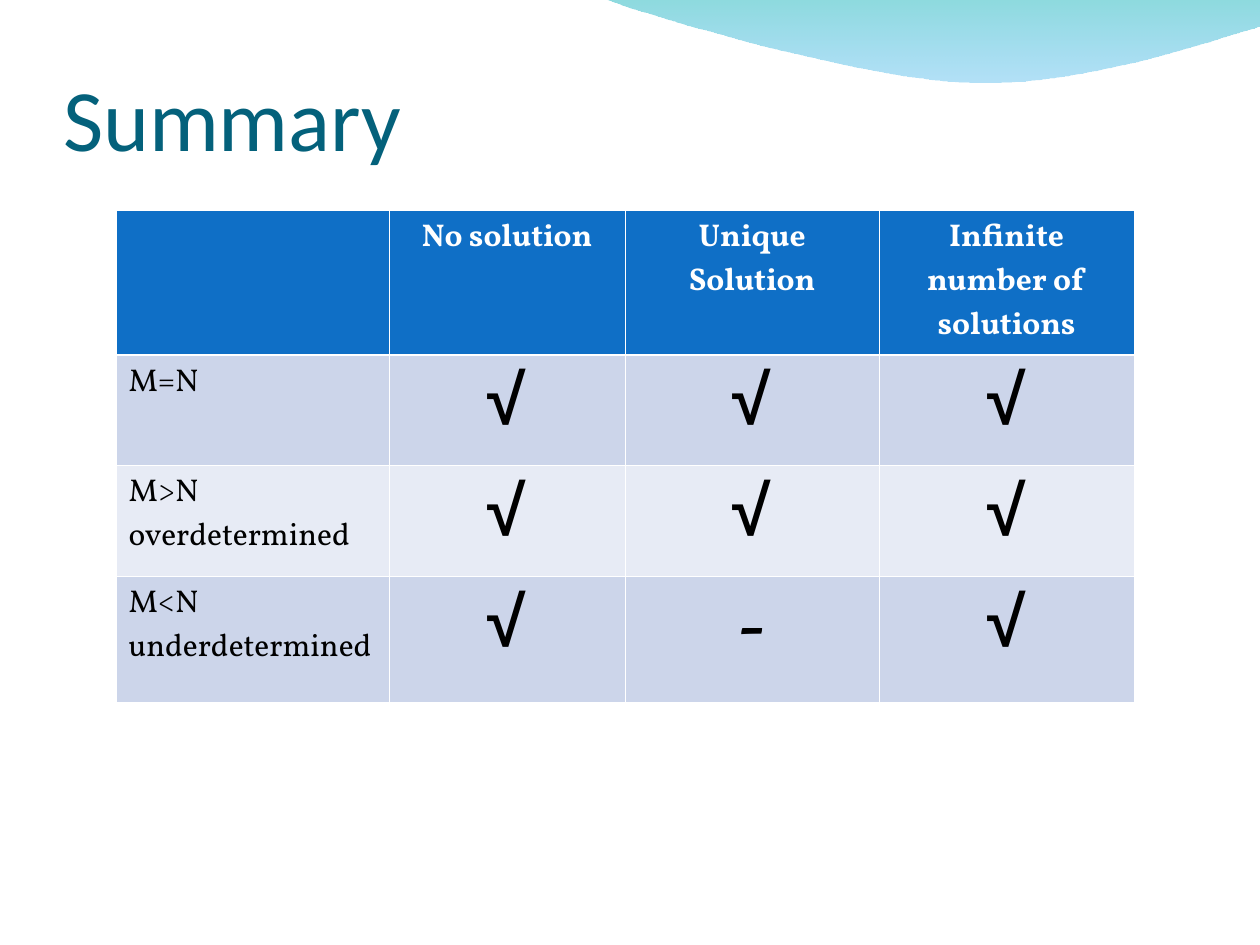
from dataclasses import dataclass

from lxml import etree
from pptx import Presentation
from pptx.dml.color import RGBColor
from pptx.enum import text
from pptx.oxml import ns
from pptx.util import Inches, Pt

WHITE = RGBColor(0xFF, 0xFF, 0xFF)
BLACK = RGBColor(0x00, 0x00, 0x00)
TITLE_TEAL = RGBColor(0x04, 0x61, 0x7B)
HEADER_BLUE = RGBColor(0x0F, 0x6F, 0xC6)
BAND_DARK = RGBColor(0xCC, 0xD5, 0xEA)
BAND_LIGHT = RGBColor(0xE7, 0xEB, 0xF5)
WAVE_TEAL = RGBColor(0x00, 0xAD, 0xB6)
WAVE_BLUE = RGBColor(0x00, 0x9B, 0xE5)

Point = tuple[float, float]
WAVE_START: Point = (4.79, -0.01)
WAVE_CURVES: list[tuple[Point, Point, Point]] = [
    ((5.09, 0.11), (6.82, 0.62), (7.69, 0.65)),
    ((8.56, 0.69), (9.61, 0.32), (10, 0.21)),
]
CURVE_STEPS = 24

COLUMN_WIDTHS = [2.17, 1.87, 2.02, 2.02]
ROW_HEIGHTS = [1, 0.88, 0.88, 1]
THIN, THICK = Pt(0.45), Pt(1.47)


@dataclass(frozen=True)
class CellStyle:
    font: str
    size: int
    bold: bool
    color: RGBColor
    alignment: text.PP_ALIGN


HEADER = CellStyle("Vollkorn", 18, True, WHITE, text.PP_ALIGN.CENTER)
LABEL = CellStyle("Vollkorn", 18, False, BLACK, text.PP_ALIGN.LEFT)
CHECK = CellStyle("Arial", 40, True, BLACK, text.PP_ALIGN.CENTER)
DASH = CellStyle("Vollkorn", 40, True, BLACK, text.PP_ALIGN.CENTER)


@dataclass(frozen=True)
class Row:
    texts: list[str]
    fill: RGBColor


ROWS = [
    Row(["", "No solution", "Unique Solution", "Infinite number of solutions"], HEADER_BLUE),
    Row(["M=N", "√", "√", "√"], BAND_DARK),
    Row(["M>N\noverdetermined", "√", "√", "√"], BAND_LIGHT),
    Row(["M<N\nunderdetermined", "√", "-", "√"], BAND_DARK),
]


def curve_points(start: Point, first: Point, second: Point, end: Point) -> list[Point]:
    """Points along a cubic Bezier curve, without its start."""
    points = []
    for step in range(1, CURVE_STEPS + 1):
        t = step / CURVE_STEPS
        weights = ((1 - t) ** 3, 3 * t * (1 - t) ** 2, 3 * t**2 * (1 - t), t**3)
        controls = (start, first, second, end)
        x, y = (sum(w * c[axis] for w, c in zip(weights, controls)) for axis in (0, 1))
        points.append((x, y))
    return points


def add_wave(slide):
    points = [WAVE_START]
    for curve in WAVE_CURVES:
        points += curve_points(points[-1], *curve)
    points.append((10, 0))
    outline = [(Inches(x), Inches(y)) for x, y in points]
    builder = slide.shapes.build_freeform(*outline[0])
    builder.add_line_segments(outline[1:], close=True)
    wave = builder.convert_to_shape()
    wave.shadow.inherit = False
    wave.line.fill.background()
    wave.fill.gradient()
    wave.fill.gradient_angle = 270
    stops = wave.fill.gradient_stops
    for stop, position, color in zip(stops, (0, 1), (WAVE_TEAL, WAVE_BLUE)):
        stop.position = position
        stop.color.rgb = color
    colors = wave.element.spPr.iterfind(".//" + ns.qn("a:srgbClr"))
    for color, opacity in zip(colors, (45, 30)):
        etree.SubElement(color, ns.qn("a:alpha"), val=str(opacity * 1000))
    return wave


def set_title(title) -> None:
    title.left, title.top = Inches(0.5), Inches(0.09)
    title.width, title.height = Inches(9), Inches(1.25)
    frame = title.text_frame
    frame.text = "Summary"
    frame.auto_size = text.MSO_AUTO_SIZE.NONE
    frame.vertical_anchor = text.MSO_ANCHOR.BOTTOM
    frame.margin_left = frame.margin_right = frame.margin_bottom = 0
    frame.margin_top = Inches(0.05)
    paragraph = frame.paragraphs[0]
    paragraph.alignment = text.PP_ALIGN.LEFT
    paragraph.font.name = "Calibri"
    paragraph.font.size = Pt(50)
    paragraph.font.color.rgb = TITLE_TEAL


def set_borders(cell, top: int, bottom: int) -> None:
    properties = cell._tc.get_or_add_tcPr()
    for side, width in (("L", THIN), ("R", THIN), ("T", top), ("B", bottom)):
        line = etree.SubElement(properties, ns.qn(f"a:ln{side}"), w=str(width))
        fill = etree.SubElement(line, ns.qn("a:solidFill"))
        etree.SubElement(fill, ns.qn("a:srgbClr"), val=str(WHITE))


def fill_cell(cell, wording: str, style: CellStyle, fill: RGBColor) -> None:
    cell.fill.solid()
    cell.fill.fore_color.rgb = fill
    cell.text = wording
    for paragraph in cell.text_frame.paragraphs:
        paragraph.alignment = style.alignment
        paragraph.font.name = style.font
        paragraph.font.size = Pt(style.size)
        paragraph.font.bold = style.bold
        paragraph.font.color.rgb = style.color


def cell_style(row: int, column: int, wording: str) -> CellStyle:
    if row == 0:
        return HEADER
    if column == 0:
        return LABEL
    return DASH if wording == "-" else CHECK


def add_summary_table(slide) -> None:
    table = slide.shapes.add_table(
        len(ROWS), len(COLUMN_WIDTHS), Inches(0.92), Inches(1.67),
        Inches(sum(COLUMN_WIDTHS)), Inches(sum(ROW_HEIGHTS)),
    ).table
    for column, width in zip(table.columns, COLUMN_WIDTHS):
        column.width = Inches(width)
    for table_row, height in zip(table.rows, ROW_HEIGHTS):
        table_row.height = Inches(height)
    for r, row in enumerate(ROWS):
        for c, wording in enumerate(row.texts):
            cell = table.cell(r, c)
            set_borders(cell, THICK if r == 1 else THIN, THICK if r == 0 else THIN)
            fill_cell(cell, wording, cell_style(r, c, wording), row.fill)


def main() -> None:
    presentation = Presentation()
    presentation.slide_width, presentation.slide_height = Inches(10), Inches(7.5)
    slide = presentation.slides.add_slide(presentation.slide_layouts[5])
    title = slide.shapes.title
    set_title(title)
    wave = add_wave(slide)
    title.element.addprevious(wave.element)
    add_summary_table(slide)
    presentation.save("out.pptx")


if __name__ == "__main__":
    main()
